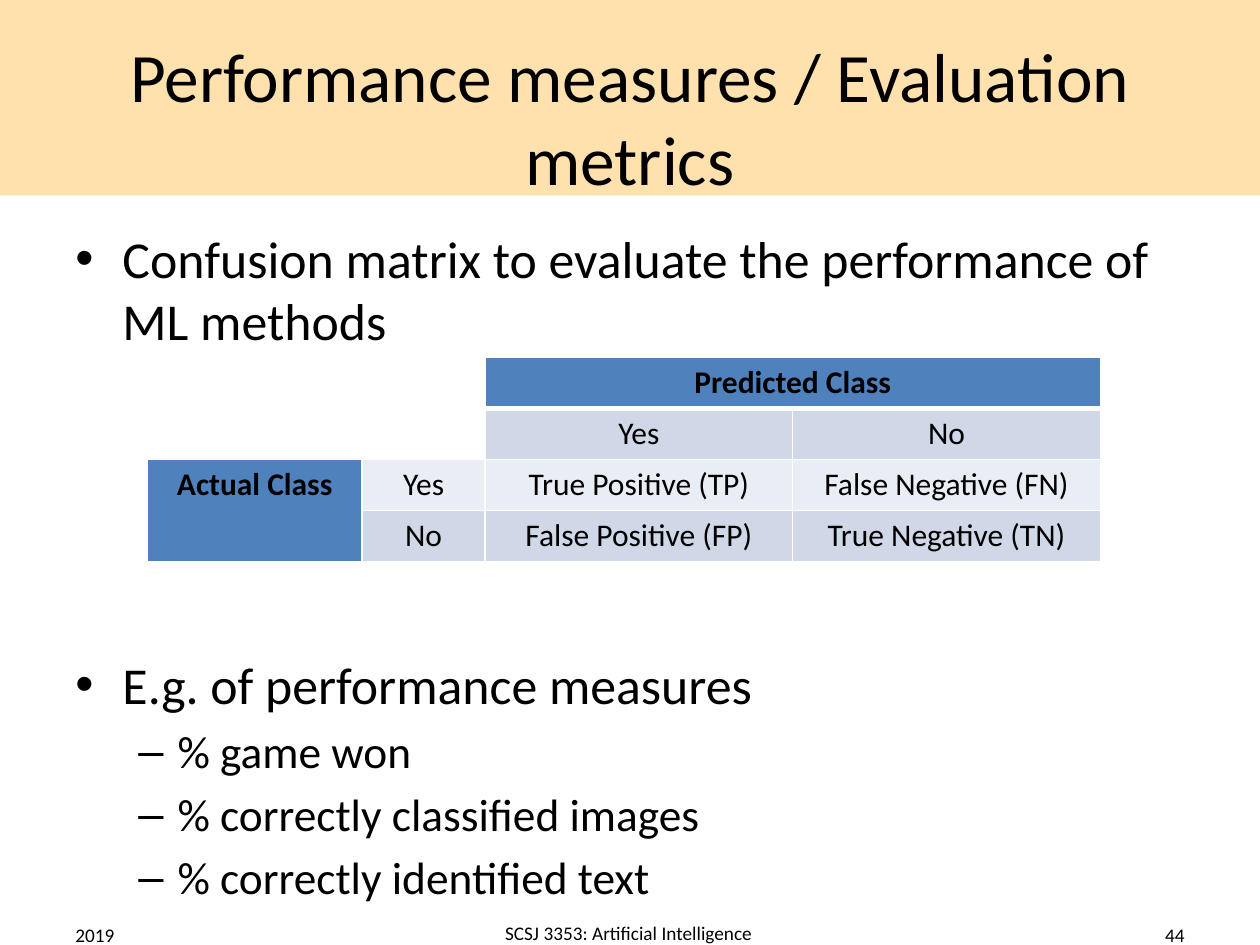
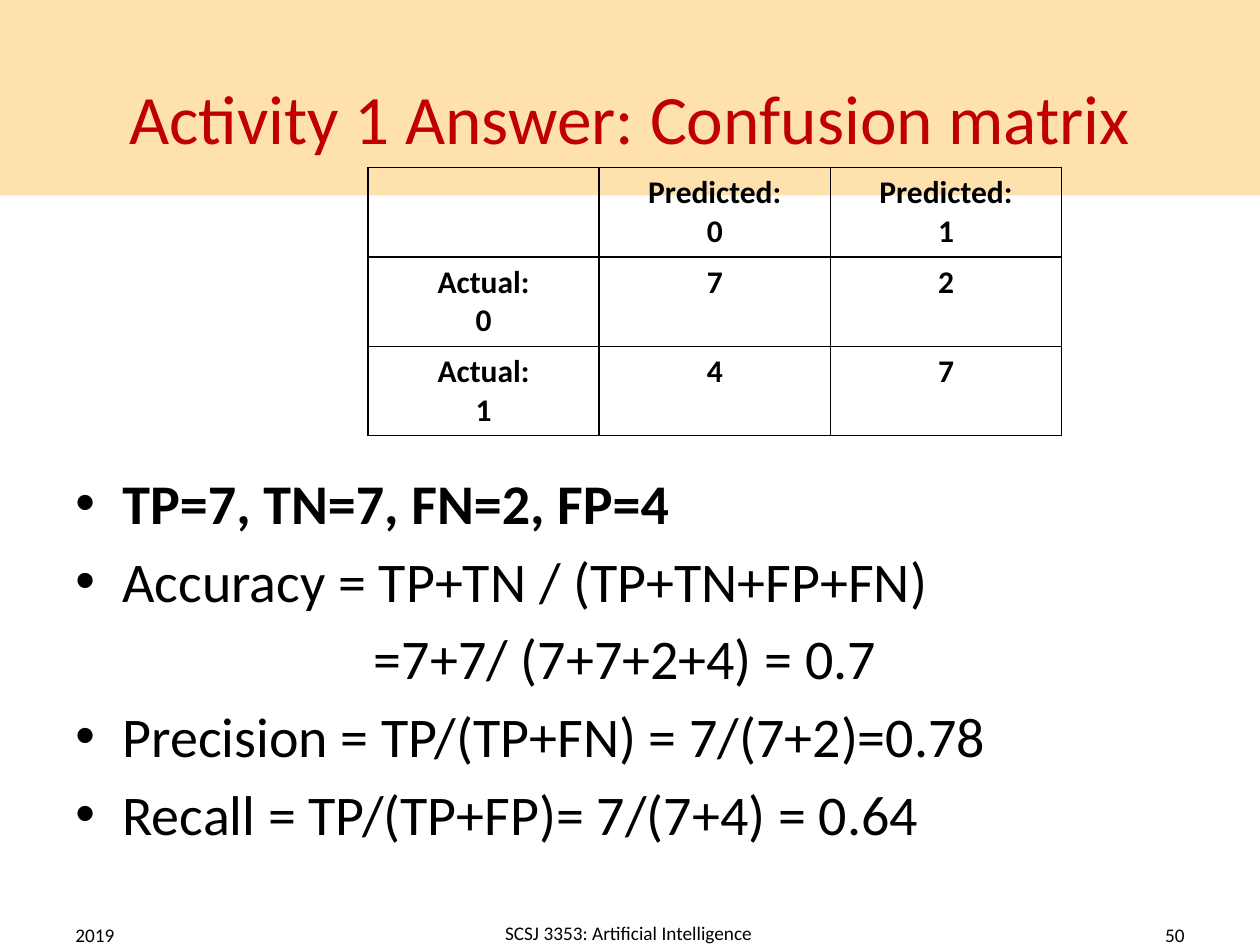
from lxml.etree import SubElement
from pptx import Presentation
from pptx.dml.color import RGBColor
from pptx.enum.shapes import MSO_SHAPE
from pptx.enum.text import MSO_ANCHOR, PP_ALIGN
from pptx.oxml.ns import qn
from pptx.util import Cm, Pt

BLACK, WHITE, RED = "000000", "FFFFFF", "C00000"
BAND, HEADER, DARK_ROW, LIGHT_ROW = "FFE1AD", "4F81BD", "D0D8E8", "E9EDF4"
FONT = "Calibri"
MARGIN, CONTENT_WIDTH = 1.27, 22.86


def color(hex_string):
    return RGBColor.from_string(hex_string)


def write(text_frame, text, size=18, fill=BLACK, bold=False, align=PP_ALIGN.LEFT,
          before=0, indent=0, hanging=0, bullet=None):
    """Put text in the empty first paragraph, or in a new one after it; lengths in cm."""
    paragraph = text_frame.paragraphs[0]
    if paragraph.runs:
        paragraph = text_frame.add_paragraph()
        paragraph.space_before = Pt(before)
    paragraph.alignment = align
    properties = paragraph._p.get_or_add_pPr()
    properties.set("marL", str(Cm(indent)))
    properties.set("indent", str(-Cm(hanging)))
    if bullet:
        SubElement(properties, qn("a:buFont"), typeface="Arial")
        SubElement(properties, qn("a:buChar"), char=bullet)
    run = paragraph.add_run()
    run.text = text
    run.font.name, run.font.size, run.font.bold = FONT, Pt(size), bold
    run.font.color.rgb = color(fill)


def set_border(cell, side, hex_string, width):
    line = SubElement(cell._tc.get_or_add_tcPr(), qn(f"a:ln{side}"), w=str(Pt(width)))
    SubElement(SubElement(line, qn("a:solidFill")), qn("a:srgbClr"), val=hex_string)


class Deck:
    """Holds the shared slide style and the slide being filled."""

    def __init__(self):
        self.presentation = Presentation()
        self.presentation.slide_width = Cm(25.4)
        self.presentation.slide_height = Cm(19.05)
        self.slide = None

    def add_slide(self, title, number, title_color=BLACK):
        self.slide = self.presentation.slides.add_slide(self.presentation.slide_layouts[6])
        self.add_band()
        self.add_text(MARGIN, 0.76, CONTENT_WIDTH, 3.18, [(title, {})], anchor=MSO_ANCHOR.MIDDLE,
                      size=39.6, fill=title_color, align=PP_ALIGN.CENTER)
        self.add_footer(number)

    def add_band(self):
        band = self.slide.shapes.add_shape(MSO_SHAPE.RECTANGLE, 0, 0, Cm(25.4), Cm(3.94))
        band.shadow.inherit = False
        band.fill.solid()
        band.fill.fore_color.rgb = color(BAND)
        band.line.fill.background()

    def add_footer(self, number):
        for left, top, width, height, text, align in (
            (MARGIN, 18.34, 5.92, 1.02, "2019", PP_ALIGN.LEFT),
            (6.86, 18.39, 11.63, 0.84, "SCSJ 3353: Artificial Intelligence", PP_ALIGN.CENTER),
            (18.21, 18.34, 5.92, 1.02, str(number), PP_ALIGN.RIGHT),
        ):
            self.add_text(left, top, width, height, [(text, {})], anchor=MSO_ANCHOR.MIDDLE,
                          size=11, align=align)

    def add_text(self, left, top, width, height, items, anchor=MSO_ANCHOR.TOP, **shared):
        """Each item is a text and the format that differs from the shared one."""
        box = self.slide.shapes.add_textbox(Cm(left), Cm(top), Cm(width), Cm(height))
        box.text_frame.word_wrap = True
        box.text_frame.vertical_anchor = anchor
        for text, own in items:
            write(box.text_frame, text, **{**shared, **own})

    def add_body(self, top, height, size, items):
        self.add_text(MARGIN, top, CONTENT_WIDTH, height, items, size=size, before=6,
                      indent=0.95, hanging=0.95, bullet="•")

    def add_table(self, left, top, column_widths, row_height, rows, fills, bold_cells,
                  border, merges=(), header_rule=1):
        """Fills are hex strings or None, in the same grid as rows."""
        table = self.slide.shapes.add_table(
            len(rows), len(column_widths), Cm(left), Cm(top),
            Cm(sum(column_widths)), Cm(row_height * len(rows))).table
        table.first_row = table.horz_banding = False
        for column, width in zip(table.columns, column_widths):
            column.width = Cm(width)
        for row_index, texts in enumerate(rows):
            table.rows[row_index].height = Cm(row_height)
            for column_index, text in enumerate(texts):
                cell = table.cell(row_index, column_index)
                for side in "LRTB":
                    under_header = (row_index, side) in ((0, "B"), (1, "T"))
                    set_border(cell, side, border, header_rule if under_header else 1)
                fill = fills[row_index][column_index]
                if fill:
                    cell.fill.solid()
                    cell.fill.fore_color.rgb = color(fill)
                else:
                    cell.fill.background()
                for line in text.splitlines():
                    write(cell.text_frame, line, align=PP_ALIGN.CENTER, bold=text in bold_cells)
        for first, last in merges:
            table.cell(*first).merge(table.cell(*last))


def build_measures(deck):
    deck.add_slide("Performance measures / Evaluation metrics", 44)
    dash = {"size": 25.9, "before": 5, "indent": 2.06, "hanging": 0.79, "bullet": "–"}
    deck.add_body(4.45, 12.57, 29.6, [
        ("Confusion matrix to evaluate the performance of ML methods", {}),
        ("E.g. of performance measures", {"before": 172}),
        ("% game won", dash),
        ("% correctly classified images", dash),
        ("% correctly identified text", dash),
    ])
    deck.add_table(
        2.97, 7.2, [4.33, 2.48, 6.2, 6.2], 1.03,
        rows=[["", "", "Predicted Class", ""],
              ["", "", "Yes", "No"],
              ["Actual Class", "Yes", "True Positive (TP)", "False Negative (FN)"],
              ["", "No", "False Positive (FP)", "True Negative (TN)"]],
        fills=[[None, None, HEADER, HEADER],
               [None, None, DARK_ROW, DARK_ROW],
               [HEADER] + [LIGHT_ROW] * 3,
               [HEADER] + [DARK_ROW] * 3],
        bold_cells=("Predicted Class", "Actual Class"), border=WHITE, header_rule=3,
        merges=[((0, 2), (0, 3)), ((2, 0), (3, 0))])


def build_answer(deck):
    deck.add_slide("Activity 1 Answer: Confusion matrix", 50, RED)
    deck.add_body(9.32, 7.7, 32, [
        ("TP=7, TN=7, FN=2, FP=4", {"bold": True}),
        ("Accuracy = TP+TN / (TP+TN+FP+FN)", {}),
        ("=7+7/ (7+7+2+4) = 0.7", {"indent": 6.02, "hanging": 0, "bullet": None}),
        ("Precision = TP/(TP+FN) = 7/(7+2)=0.78", {}),
        ("Recall = TP/(TP+FP)= 7/(7+4) = 0.64", {}),
    ])
    rows = [["", "Predicted:\n0", "Predicted:\n1"],
            ["Actual:\n0", "7", "2"],
            ["Actual:\n1", "4", "7"]]
    deck.add_table(7.42, 3.38, [4.66] * 3, 1.8, rows, fills=[[None] * 3] * 3,
                   bold_cells=sum(rows, []), border=BLACK)


def main():
    deck = Deck()
    build_measures(deck)
    build_answer(deck)
    deck.presentation.save("out.pptx")


if __name__ == "__main__":
    main()
